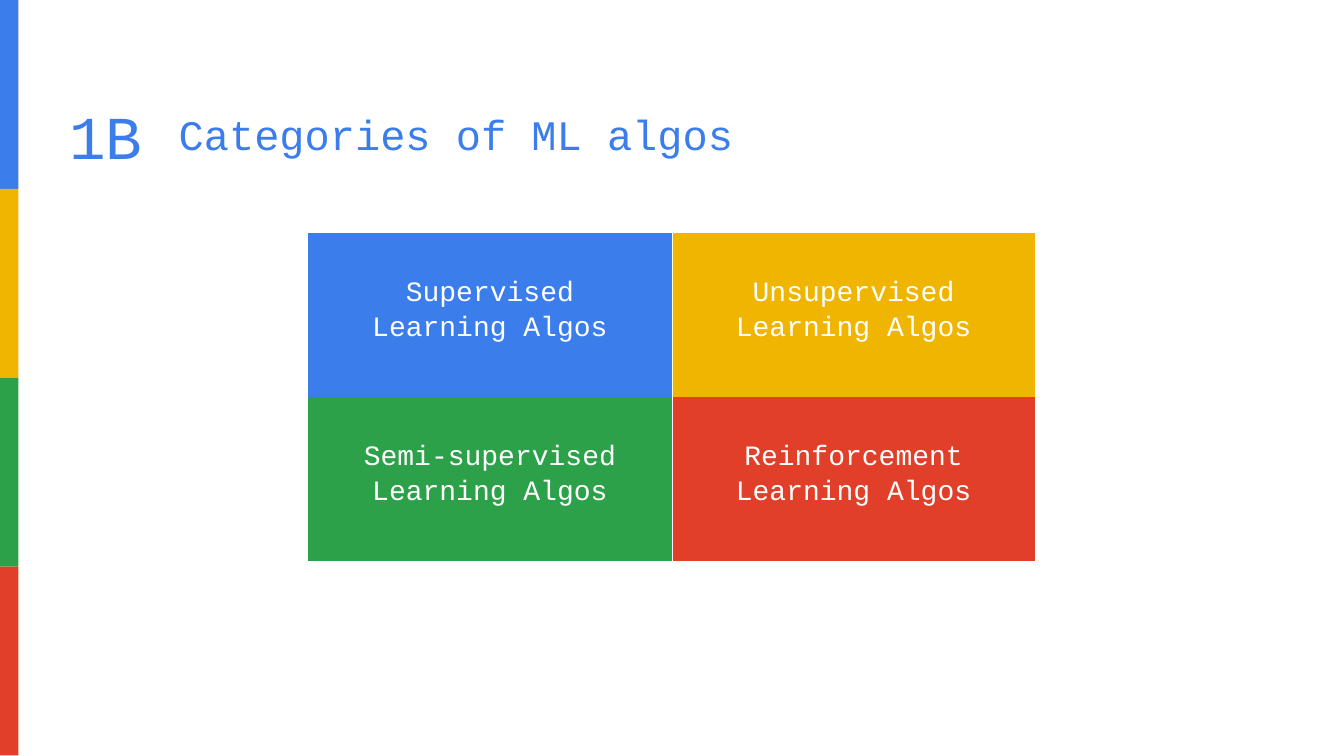
"""Build a slide that shows the four categories of machine learning algorithms."""
from dataclasses import dataclass

from lxml.etree import SubElement
from pptx import Presentation
from pptx.dml.color import RGBColor
from pptx.enum.shapes import MSO_SHAPE
from pptx.enum.text import MSO_ANCHOR, MSO_AUTO_SIZE, PP_ALIGN
from pptx.oxml.ns import qn
from pptx.util import Pt

EMU_PER_PX = 9144
SLIDE_WIDTH, SLIDE_HEIGHT = 2199, 1237
STRIPE_WIDTH, STRIPE_HEIGHT = 30, 309
CELL_WIDTH, CELL_HEIGHT = 595, 268
COLUMNS = 2
PLAIN_TABLE_STYLE = "{2D5ABB26-0587-4C30-8999-92F81FD0307C}"


@dataclass(frozen=True)
class Theme:
    """Colours and type of the slide."""
    font: str = "Courier New"
    blue: str = "3C7DEC"
    yellow: str = "F0B500"
    green: str = "2CA14A"
    red: str = "E23F2A"
    white: str = "FFFFFF"
    number_size: float = 123.8
    title_size: float = 49.5
    cell_size: float = 33
    border_width: float = 0.5


@dataclass(frozen=True)
class Category:
    """A kind of algorithm and its colour."""
    label: str
    color: str


THEME = Theme()
CATEGORIES = [
    Category("Supervised Learning Algos", THEME.blue),
    Category("Unsupervised Learning Algos", THEME.yellow),
    Category("Semi-supervised Learning Algos", THEME.green),
    Category("Reinforcement Learning Algos", THEME.red),
]


def px(length: int) -> int:
    """Turn px into EMU."""
    return length * EMU_PER_PX


def add_text(paragraph, text: str, *, size: float, color: str, baseline: int = 0) -> None:
    """Add a formatted run to a paragraph."""
    run = paragraph.add_run()
    run.text = text
    run.font.name = THEME.font
    run.font.size = Pt(size)
    run.font.color.rgb = RGBColor.from_string(color)
    if baseline:
        run.font._element.set("baseline", str(baseline * 1000))


def set_margins(box, left: int, top: int, right: int, bottom: int) -> None:
    """Set the inner margins of a text frame or a cell."""
    box.margin_left, box.margin_top = px(left), px(top)
    box.margin_right, box.margin_bottom = px(right), px(bottom)


def add_stripe(slide, index: int, color: str) -> None:
    """Draw one stripe of the left edge."""
    stripe = slide.shapes.add_shape(
        MSO_SHAPE.RECTANGLE, 0, px(index * STRIPE_HEIGHT), px(STRIPE_WIDTH), px(STRIPE_HEIGHT))
    stripe.shadow.inherit = False
    stripe.fill.solid()
    stripe.fill.fore_color.rgb = RGBColor.from_string(color)
    stripe.line.fill.background()


def format_title(title) -> None:
    """Place the title and write its number and words."""
    title.left, title.top, title.width, title.height = px(113), px(62), px(1098), px(219)
    frame = title.text_frame
    frame.auto_size = MSO_AUTO_SIZE.NONE
    frame.word_wrap = True
    frame.vertical_anchor = MSO_ANCHOR.BOTTOM
    set_margins(frame, 0, 0, 0, 0)
    paragraph = frame.paragraphs[0]
    paragraph.alignment = PP_ALIGN.LEFT
    add_text(paragraph, "1B ", size=THEME.number_size, color=THEME.blue, baseline=-8)
    add_text(paragraph, "Categories of ML algos", size=THEME.title_size, color=THEME.blue)


def add_border(cell, side: str) -> None:
    """Draw a thin white border on one side of a cell."""
    properties = cell._tc.get_or_add_tcPr()
    line = SubElement(properties, qn(f"a:{side}"), w=str(Pt(THEME.border_width)))
    SubElement(SubElement(line, qn("a:solidFill")), qn("a:srgbClr"), val=THEME.white)
    properties.insert(0, line)


def fill_cell(cell, category: Category) -> None:
    """Colour a cell and write its label."""
    cell.fill.solid()
    cell.fill.fore_color.rgb = RGBColor.from_string(category.color)
    cell.vertical_anchor = MSO_ANCHOR.MIDDLE
    set_margins(cell, 65, 0, 65, 18)
    paragraph = cell.text_frame.paragraphs[0]
    paragraph.alignment = PP_ALIGN.CENTER
    paragraph.line_spacing = 1.1
    add_text(paragraph, category.label, size=THEME.cell_size, color=THEME.white)


def add_category_table(slide) -> None:
    """Lay the categories out in a grid."""
    rows = len(CATEGORIES) // COLUMNS
    table = slide.shapes.add_table(
        rows, COLUMNS, px(504), px(382), px(COLUMNS * CELL_WIDTH), px(rows * CELL_HEIGHT)).table
    table.first_row = table.horz_banding = False
    table._tbl.tblPr.find(qn("a:tableStyleId")).text = PLAIN_TABLE_STYLE
    for index, category in enumerate(CATEGORIES):
        row, column = divmod(index, COLUMNS)
        cell = table.cell(row, column)
        fill_cell(cell, category)
        add_border(cell, "lnL" if column else "lnR")


def main() -> None:
    """Build and save the presentation."""
    presentation = Presentation()
    presentation.slide_width, presentation.slide_height = px(SLIDE_WIDTH), px(SLIDE_HEIGHT)
    slide = presentation.slides.add_slide(presentation.slide_layouts[5])
    for index, category in enumerate(CATEGORIES):
        add_stripe(slide, index, category.color)
    format_title(slide.shapes.title)
    add_category_table(slide)
    presentation.save("out.pptx")


if __name__ == "__main__":
    main()
